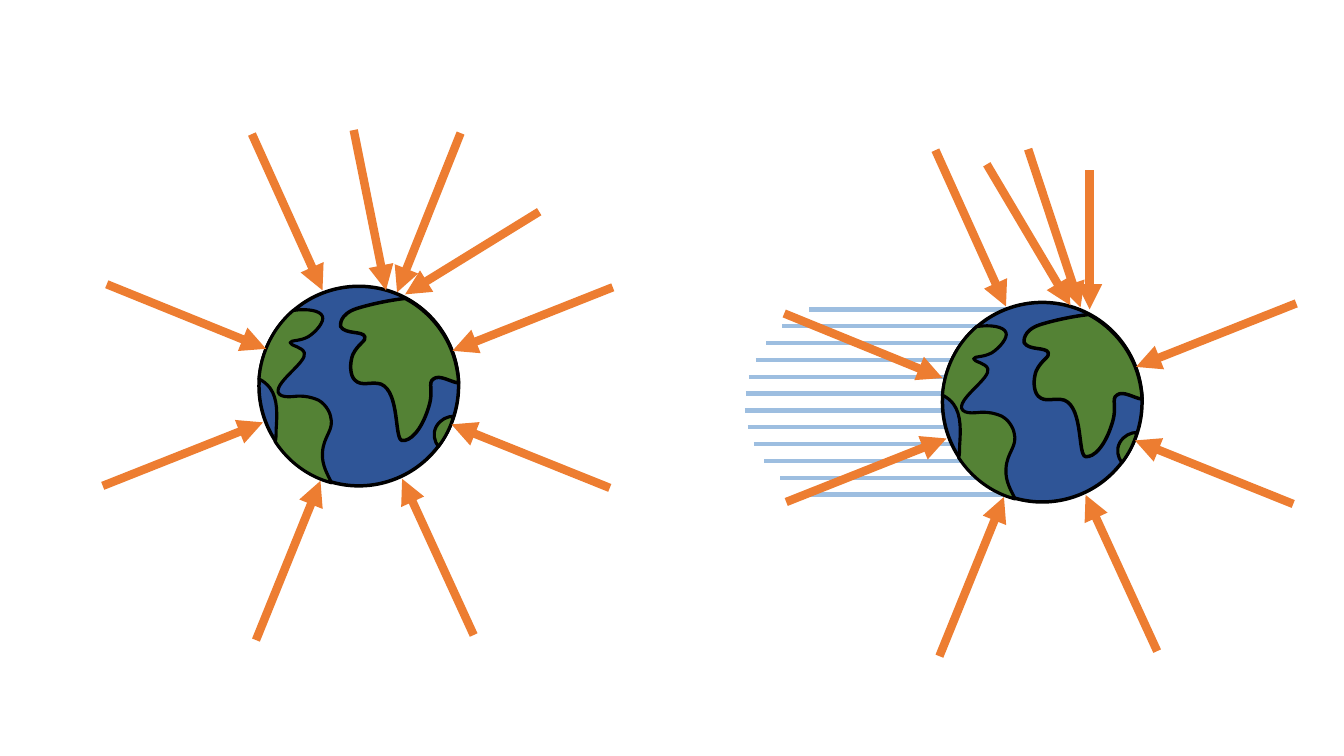
from lxml import etree
from pptx import Presentation
from pptx.dml.color import RGBColor
from pptx.enum import shapes
from pptx.oxml import ns
from pptx.util import Pt

OCEAN = RGBColor(0x2F, 0x55, 0x97)
LAND = RGBColor(0x54, 0x82, 0x35)
OUTLINE = RGBColor(0, 0, 0)
ARROW = RGBColor(0xED, 0x7D, 0x31)
MOTION = RGBColor(0x9D, 0xBE, 0xE0)

# Everything around a globe is measured from its top left corner in this unit.
UNIT = Pt(0.72)
DIAMETER = 198
LEFT_GLOBE = Pt(185), Pt(204.5)
RIGHT_GLOBE = Pt(673.2), Pt(216)

# Each outline is a start point followed by three points per Bézier curve.
AMERICAS = [
    (16, 154),
    (29, 174), (49, 189), (72, 195), (69, 188), (62, 178), (63, 165),
    (64, 148), (75, 143), (71, 129), (71, 128), (68, 118), (59, 113),
    (52, 110), (47, 109), (39, 109), (36, 109), (21, 112), (19, 105),
    (17, 94), (48, 75), (45, 66), (43, 60), (31, 59), (31, 56),
    (32, 53), (40, 55), (49, 50), (57, 45), (65, 35), (63, 30),
    (61, 24), (48, 22), (34, 24), (14, 41), (2, 66), (0, 92),
    (4, 94), (8, 97), (11, 101), (19, 112), (18, 128), (17, 143),
    (17, 148), (17, 152), (16, 154),
]
AFRICA = [
    (196, 80),
    (190, 50), (170, 25), (145, 12), (128, 14), (110, 18), (97, 22),
    (79, 28), (81, 39), (81, 40), (86, 48), (103, 44), (105, 50),
    (107, 54), (98, 57), (93, 68), (90, 76), (90, 88), (95, 93),
    (102, 100), (111, 94), (121, 97), (140, 105), (134, 152), (142, 153),
    (150, 154), (161, 143), (168, 121), (174, 103), (167, 96), (173, 92),
    (179, 87), (190, 95), (198, 96), (198, 91), (197, 85), (196, 80),
]
ISLAND = [
    (176, 139),
    (172, 146), (174, 154), (178, 159), (185, 150), (190, 140), (193, 129),
    (187, 129), (180, 132), (176, 139),
]

# Arrows: tail x, tail y, head x, head y
SHARED_ARROWS = [
    (351, 1, 192, 64), (348, 200, 191, 137), (213, 346, 142, 191),
    (-3, 351, 61, 193), (-7, -151, 63, 4), (-155, 198, 4, 135),
]
LEFT_ARROWS = [
    (-151, -2, 7, 62), (200, -152, 137, 6),
    (94, -155, 126, 4), (278, -74, 145, 8),
]
RIGHT_ARROWS = [
    (-157, 11, 0, 75), (85, -152, 137, 5),
    (44, -137, 127, 3), (146, -131, 146, 7),
]

MOTION_STARTS = [-132, -159, -175, -185, -192, -195,
                 -196, -193, -187, -177, -161, -135]
MOTION_LENGTH = 216
MOTION_TOP = 7
MOTION_GAP = 16.7


def format_shape(shape, fill, line_width):
    shape.shadow.inherit = False
    shape.fill.solid()
    shape.fill.fore_color.rgb = fill
    shape.line.color.rgb = OUTLINE
    shape.line.width = line_width


def add_line(container, globe, ends, color, width):
    left, top = globe
    x1, y1, x2, y2 = (round(end * UNIT) for end in ends)
    line = container.add_connector(
        shapes.MSO_CONNECTOR.STRAIGHT, left + x1, top + y1, left + x2, top + y2)
    line.line.color.rgb = color
    line.line.width = width
    etree.SubElement(line._element.spPr, ns.qn("a:effectLst"))
    return line


def add_arrow(container, globe, ends):
    arrow = add_line(container, globe, ends, ARROW, Pt(6))
    head = etree.SubElement(arrow.line._get_or_add_ln(), ns.qn("a:tailEnd"))
    head.set("type", "triangle")


def add_curved_outline(container, globe, points, line_width):
    """Draw a land mass, turning every three segments into one Bézier curve."""
    builder = container.build_freeform(*points[0], scale=UNIT)
    builder.add_line_segments(points[1:], close=True)
    land = builder.convert_to_shape(*globe)
    segments = list(land._element.iter(ns.qn("a:lnTo")))
    for first in range(0, len(segments), 3):
        curve = etree.Element(ns.qn("a:cubicBezTo"))
        segments[first].addprevious(curve)
        for segment in segments[first:first + 3]:
            curve.append(segment[0])
            segment.getparent().remove(segment)
    format_shape(land, LAND, line_width)


def add_globe(slide, globe):
    group = slide.shapes.add_group_shape().shapes
    size = DIAMETER * UNIT
    ocean = group.add_shape(shapes.MSO_SHAPE.OVAL, *globe, size, size)
    format_shape(ocean, OCEAN, Pt(2.5))
    add_curved_outline(group, globe, AMERICAS, Pt(2.25))
    add_curved_outline(group, globe, AFRICA, Pt(2.5))
    add_curved_outline(group, globe, ISLAND, Pt(2.25))


def add_motion_lines(slide, globe):
    group = slide.shapes.add_group_shape().shapes
    for row, start in enumerate(MOTION_STARTS):
        y = MOTION_TOP + row * MOTION_GAP
        add_line(group, globe, (start, y, start + MOTION_LENGTH, y), MOTION, Pt(3))


def main():
    presentation = Presentation()
    presentation.slide_width = Pt(960)
    presentation.slide_height = Pt(540)
    slide = presentation.slides.add_slide(presentation.slide_layouts[6])

    add_motion_lines(slide, RIGHT_GLOBE)
    for globe, own_arrows in ((LEFT_GLOBE, LEFT_ARROWS), (RIGHT_GLOBE, RIGHT_ARROWS)):
        add_globe(slide, globe)
        for ends in SHARED_ARROWS + own_arrows:
            add_arrow(slide.shapes, globe, ends)

    presentation.save("out.pptx")


if __name__ == "__main__":
    main()
